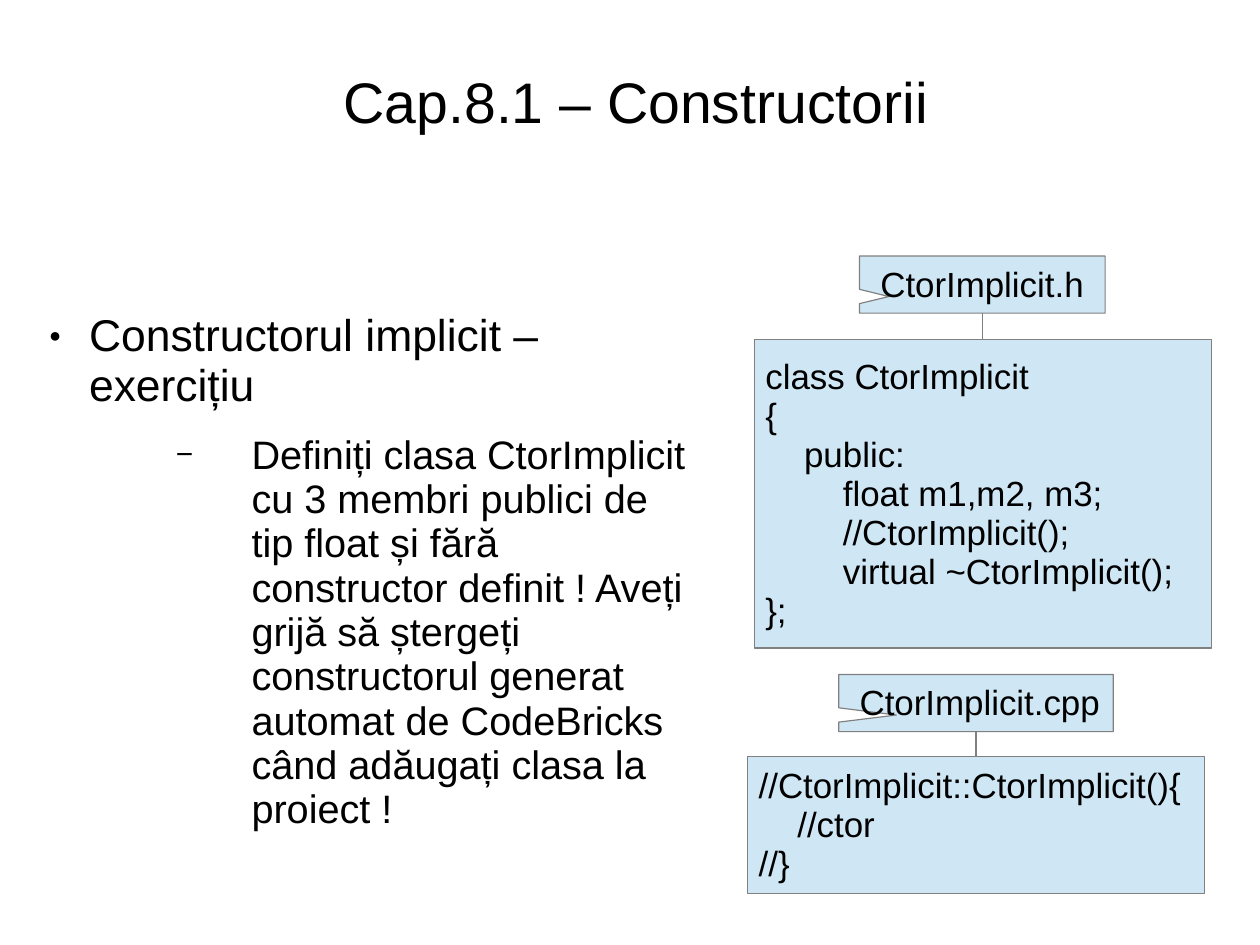
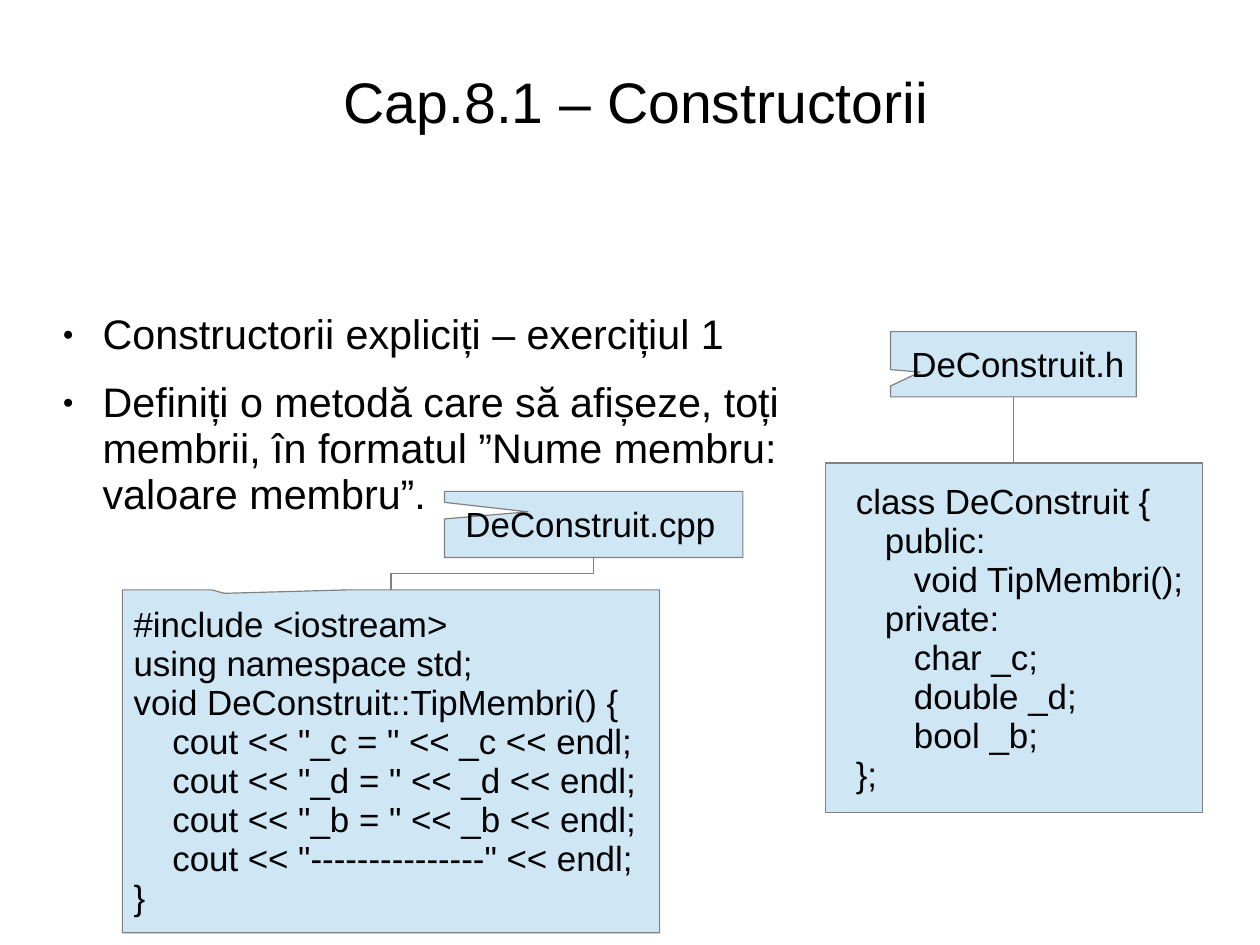
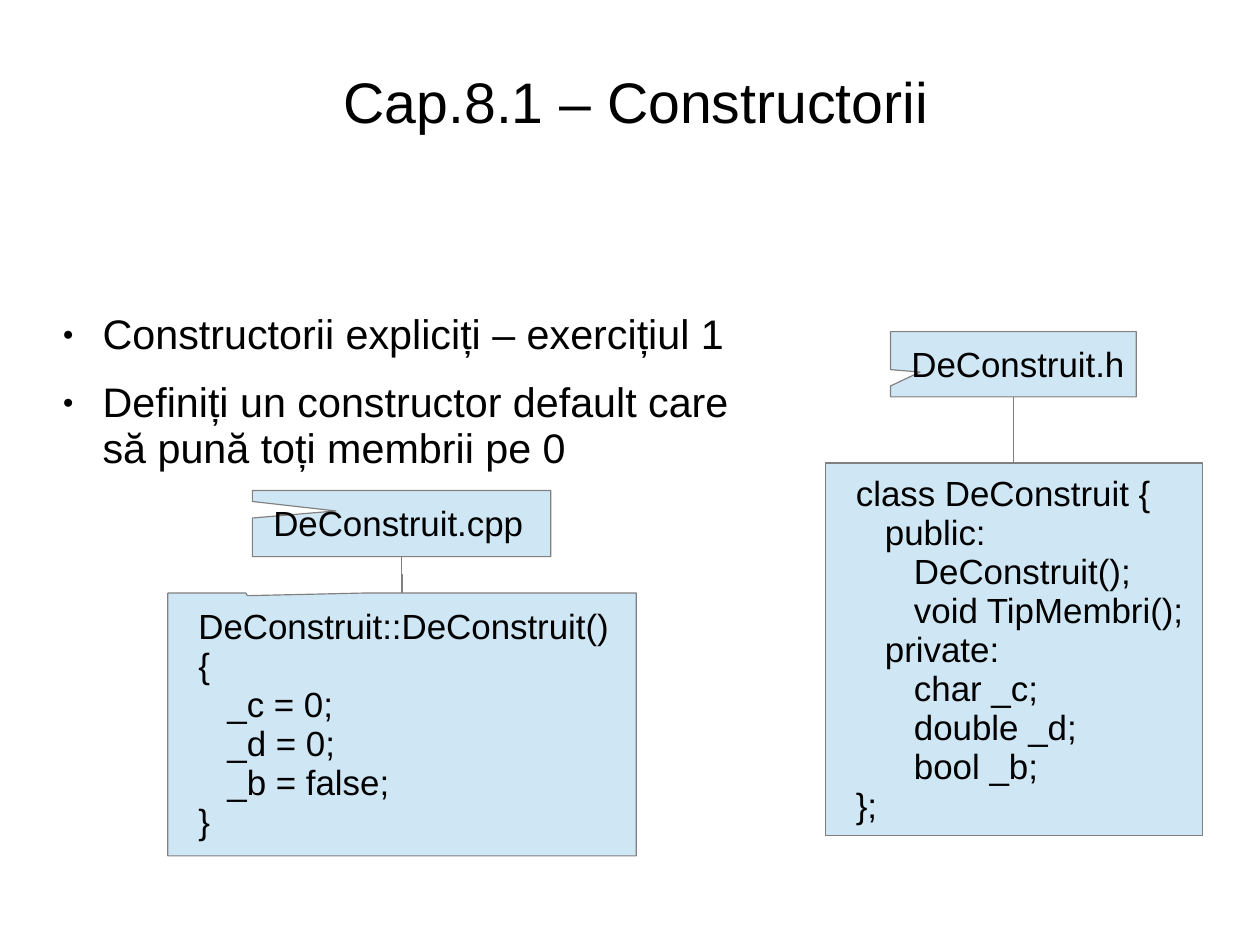
from lxml.etree import SubElement
from pptx import Presentation
from pptx.dml.color import RGBColor
from pptx.enum.shapes import MSO_CONNECTOR, MSO_SHAPE
from pptx.enum.text import MSO_ANCHOR, MSO_AUTO_SIZE, PP_ALIGN
from pptx.oxml.ns import qn
from pptx.util import Cm, Pt

FONT = "Arial"
BLACK, SKY, GREY = "000000", "CFE7F5", "808080"
LINE_SPACING = 0.93
CODE_SIZE = 22
INDENT_STEP = Pt(6.1)
TITLE_BOX = (0.91, 0.71, 26.44, 3.15)
LEVELS = [
    {"margin": 1.19, "hanging": 0.89, "after": 14.1, "mark": "●", "percent": 45},
    {"margin": 4.8, "hanging": 1.68, "after": 11.4, "mark": "−", "percent": 75},
]
HEADER_LABEL = ("DeConstruit.h", (19.79, 7.37, 5.46, 1.45), (-0.38, 0.12))
SOURCE_TIP = (-0.22, -0.19)


def rgb(hex_color):
    """Turn a hex string into a colour."""
    return RGBColor.from_string(hex_color)


def place(part, box):
    """Move a part to a box given in centimetres."""
    part.left, part.top, part.width, part.height = map(Cm, box)


def prepare_frame(frame, anchor, insets):
    """Set the wrapping, anchor and insets of a text frame."""
    frame.word_wrap = True
    frame.auto_size = MSO_AUTO_SIZE.NONE
    frame.vertical_anchor = anchor
    (frame.margin_left, frame.margin_top,
     frame.margin_right, frame.margin_bottom) = map(Cm, insets)


def write_paragraph(frame, index, text, size, align=PP_ALIGN.LEFT, after=0):
    """Write one formatted paragraph and return it."""
    paragraph = frame.add_paragraph() if index else frame.paragraphs[0]
    paragraph.alignment = align
    paragraph.line_spacing = LINE_SPACING
    paragraph.space_before = Pt(0)
    paragraph.space_after = Pt(after)
    run = paragraph.add_run()
    run.text = text
    run.font.name = FONT
    run.font.size = Pt(size)
    run.font.color.rgb = rgb(BLACK)
    return paragraph


def indent(paragraph, margin, first_line=0):
    """Set the left margin and first-line indent of a paragraph."""
    properties = paragraph._p.get_or_add_pPr()
    properties.set("marL", str(int(margin)))
    properties.set("indent", str(int(first_line)))
    return properties


def add_title(slide):
    """Fill the title placeholder."""
    title = slide.shapes.title
    place(title, TITLE_BOX)
    prepare_frame(title.text_frame, MSO_ANCHOR.MIDDLE, (0, 0.08, 0, 0))
    write_paragraph(title.text_frame, 0, "Cap.8.1 – Constructorii", 36, PP_ALIGN.CENTER)


def add_task(slide, box, items):
    """Fill the body placeholder with bulleted (level, size, text) items."""
    body = slide.placeholders[1]
    place(body, box)
    prepare_frame(body.text_frame, MSO_ANCHOR.TOP, (0, 0.08, 0, 0))
    for index, (level, size, text) in enumerate(items):
        style = LEVELS[level]
        paragraph = write_paragraph(body.text_frame, index, text, size, after=style["after"])
        paragraph.level = level
        properties = indent(paragraph, Cm(style["margin"]), -Cm(style["hanging"]))
        SubElement(properties, qn("a:buSzPct"), val=str(style["percent"] * 1000))
        SubElement(properties, qn("a:buFont"), typeface=FONT)
        SubElement(properties, qn("a:buChar"), char=style["mark"])


def add_callout(slide, box, tip, lines):
    """Draw a callout holding (indent steps, text) lines."""
    callout = slide.shapes.add_shape(MSO_SHAPE.RECTANGULAR_CALLOUT, *map(Cm, box))
    callout.adjustments[0], callout.adjustments[1] = tip
    callout.shadow.inherit = False
    callout.fill.solid()
    callout.fill.fore_color.rgb = rgb(SKY)
    callout.line.color.rgb = rgb(GREY)
    callout.line.width = Pt(0.75)
    prepare_frame(callout.text_frame, MSO_ANCHOR.MIDDLE, (0.25, 0.18, 0, 0.13))
    for index, (steps, text) in enumerate(lines):
        indent(write_paragraph(callout.text_frame, index, text, CODE_SIZE), steps * INDENT_STEP)
    return callout


def link(slide, label, code):
    """Join the bottom of a label to the top of its code with a vertical elbow."""
    start_x, start_y = label.left + label.width // 2, label.top + label.height
    end_x, end_y = code.left + code.width // 2, code.top
    elbow = slide.shapes.add_connector(MSO_CONNECTOR.ELBOW, start_x, start_y, end_x, end_y)
    elbow.begin_connect(label, 2)
    elbow.end_connect(code, 0)
    drop, shift = end_y - start_y, end_x - start_x
    elbow.width, elbow.height = drop, abs(shift)
    elbow.left = (start_x + end_x - drop) // 2
    elbow.top = (start_y + end_y - abs(shift)) // 2
    properties = elbow._element.spPr
    frame = properties.find(qn("a:xfrm"))
    frame.set("rot", "16200000" if shift > 0 else "5400000")
    frame.set("flipH", "1" if shift > 0 else "0")
    elbow.line.color.rgb = rgb(GREY)
    elbow.line.width = Pt(0.75)
    SubElement(properties, qn("a:effectLst"))


def add_file(slide, label, box, tip, lines):
    """Draw a code callout, its file name label and their link."""
    name, label_box, label_tip = label
    code = add_callout(slide, box, tip, lines)
    link(slide, add_callout(slide, label_box, label_tip, [(1, name)]), code)


def class_lines(methods):
    """List the lines of the class declaration with the given methods."""
    members = ["char _c;", "double _d;", "bool _b;"]
    return [(2, "class DeConstruit {"), (5, "public:"),
            *[(8, method) for method in methods],
            (5, "private:"), *[(8, member) for member in members], (2, "};")]


def add_exercise(presentation, task_box, items, files):
    """Build one exercise slide from its task and code files."""
    slide = presentation.slides.add_slide(presentation.slide_layouts[1])
    add_title(slide)
    add_task(slide, task_box, items)
    for code_file in files:
        add_file(slide, *code_file)


def main():
    """Build and save the presentation."""
    presentation = Presentation()
    presentation.slide_width, presentation.slide_height = Cm(28), Cm(21)

    add_exercise(
        presentation, (0.79, 6.86, 14.7, 12.95),
        [(0, 28, "Constructorul implicit – exercițiu"),
         (1, 25, "Definiți clasa CtorImplicit cu 3 membri publici de tip float și fără "
                 "constructor definit ! Aveți grijă să ștergeți constructorul generat "
                 "automat de CodeBricks când adăugați clasa la proiect !")],
        [(("CtorImplicit.h", (19.1, 5.69, 5.46, 1.27), (-0.38, 0.21)),
          (16.76, 7.54, 10.16, 6.86), (-0.5, -0.21),
          [(0, "class CtorImplicit"), (0, "{"), (4, "public:"),
           (8, "float m1,m2, m3;"), (8, "//CtorImplicit();"),
           (8, "virtual ~CtorImplicit();"), (0, "};")]),
         (("CtorImplicit.cpp", (18.64, 14.99, 6.1, 1.27), (-0.29, 0.21)),
          (16.61, 16.81, 10.16, 3.05), (-0.5, -0.36),
          [(0, "//CtorImplicit::CtorImplicit(){"), (4, "//ctor"), (0, "//}")])])

    first_exercise = (0, 26, "Constructorii expliciți – exercițiul 1")
    printed = [f'"_{member} = " << _{member}' for member in "cdb"] + ['"---------------"']
    add_exercise(
        presentation, (1.09, 6.86, 16.69, 6.15),
        [first_exercise,
         (0, 26, "Definiți o metodă care să afișeze, toți membrii, în formatul "
                 "”Nume membru: valoare membru”.")],
        [(HEADER_LABEL, (18.34, 10.29, 8.38, 7.77), (-0.5, -0.29),
          class_lines(["void TipMembri();"])),
         (("DeConstruit.cpp", (9.88, 10.92, 6.63, 1.47), SOURCE_TIP),
          (2.72, 13.11, 11.94, 7.62), (-0.31, -0.49),
          [(0, "#include <iostream>"), (0, "using namespace std;"),
           (0, "void DeConstruit::TipMembri() {"),
           *[(4, f"cout << {value} << endl;") for value in printed], (0, "}")])])

    add_exercise(
        presentation, (1.09, 6.86, 15.34, 4.6),
        [first_exercise,
         (0, 26, "Definiți un constructor default care să pună toți membrii pe 0")],
        [(HEADER_LABEL, (18.34, 10.29, 8.38, 8.28), (-0.5, -0.3),
          class_lines(["DeConstruit();", "void TipMembri();"])),
         (("DeConstruit.cpp", (5.61, 10.9, 6.63, 1.47), SOURCE_TIP),
          (3.73, 13.18, 10.41, 5.84), (-0.33, -0.49),
          [(2, "DeConstruit::DeConstruit()"), (2, "{"), (5, "_c = 0;"),
           (5, "_d = 0;"), (5, "_b = false;"), (2, "}")])])

    presentation.save("out.pptx")


if __name__ == "__main__":
    main()
